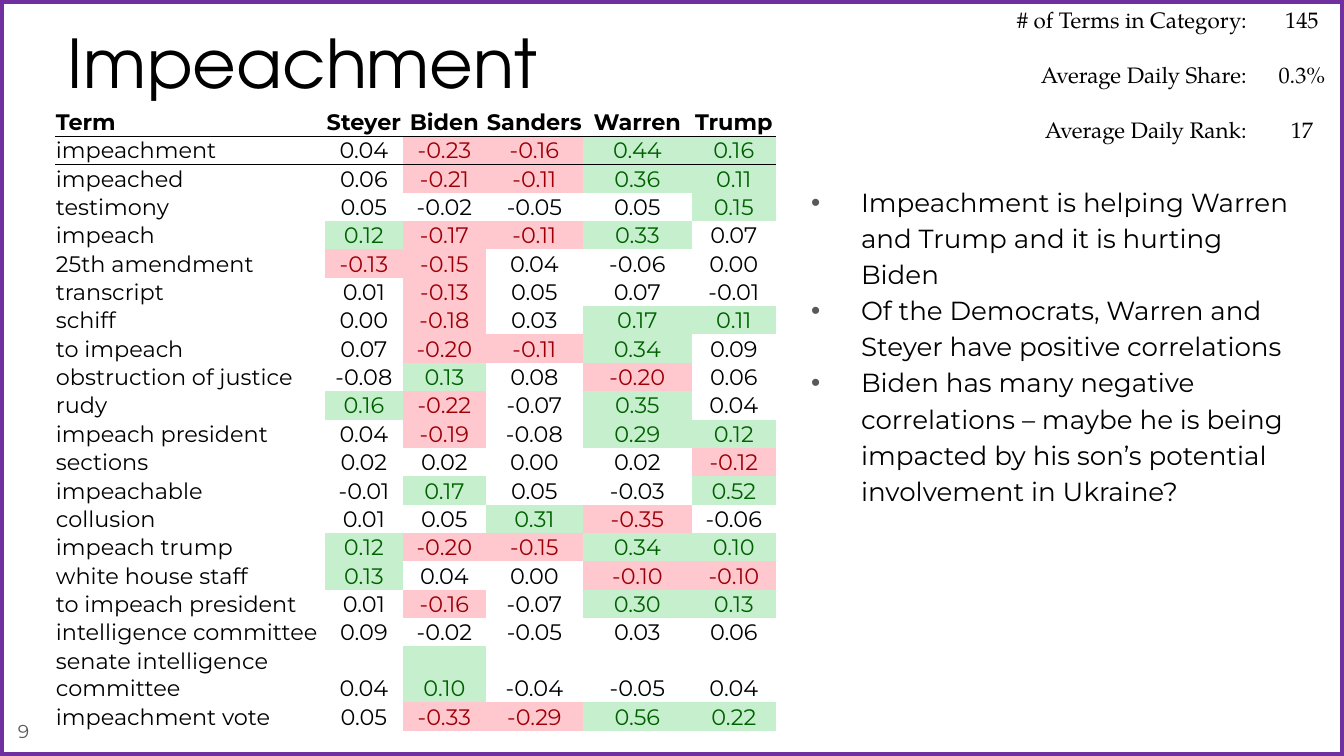
from lxml.etree import SubElement
from pptx import Presentation
from pptx.dml.color import RGBColor
from pptx.enum.shapes import MSO_SHAPE as SHAPE
from pptx.enum.text import MSO_ANCHOR as ANCHOR, MSO_AUTO_SIZE as AUTO, PP_ALIGN as ALIGN
from pptx.oxml import parse_xml
from pptx.oxml.ns import nsdecls, qn
from pptx.util import Emu, Pt

rgb = RGBColor.from_string


def px(n):
    return Emu(round(n * 914400 / 134.4))


def write(p, text, size=12, font="Montserrat", color="000000", bold=False, align=ALIGN.LEFT):
    p.alignment = align
    r = p.add_run()
    r.text = text
    r.font.size = Pt(size)
    r.font.name = font
    r.font.bold = bold
    r.font.color.rgb = rgb(color)


NO_STYLE = "{2D5ABB26-0587-4C30-8999-92F81FD0307C}"
BORDER = '<a:{} %s w="6350"><a:solidFill><a:srgbClr val="000000"/></a:solidFill></a:{}>' % nsdecls("a")

bullets = [
    "Impeachment is helping Warren and Trump and it is hurting Biden",
    "Of the Democrats, Warren and Steyer have positive correlations",
    "Biden has many negative correlations – maybe he is being impacted by his son’s potential involvement in Ukraine?",
]
summary = [
    ("# of Terms in Category:", "145"),
    ("Average Daily Share:", "0.3%"),
    ("Average Daily Rank:", "17"),
]
correlations = [
    ("Term", "Steyer", "Biden", "Sanders", "Warren", "Trump"),
    ("impeachment", "0.04", "-0.23", "-0.16", "0.44", "0.16"),
    ("impeached", "0.06", "-0.21", "-0.11", "0.36", "0.11"),
    ("testimony", "0.05", "-0.02", "-0.05", "0.05", "0.15"),
    ("impeach", "0.12", "-0.17", "-0.11", "0.33", "0.07"),
    ("25th amendment", "-0.13", "-0.15", "0.04", "-0.06", "0.00"),
    ("transcript", "0.01", "-0.13", "0.05", "0.07", "-0.01"),
    ("schiff", "0.00", "-0.18", "0.03", "0.17", "0.11"),
    ("to impeach", "0.07", "-0.20", "-0.11", "0.34", "0.09"),
    ("obstruction of justice", "-0.08", "0.13", "0.08", "-0.20", "0.06"),
    ("rudy", "0.16", "-0.22", "-0.07", "0.35", "0.04"),
    ("impeach president", "0.04", "-0.19", "-0.08", "0.29", "0.12"),
    ("sections", "0.02", "0.02", "0.00", "0.02", "-0.12"),
    ("impeachable", "-0.01", "0.17", "0.05", "-0.03", "0.52"),
    ("collusion", "0.01", "0.05", "0.31", "-0.35", "-0.06"),
    ("impeach trump", "0.12", "-0.20", "-0.15", "0.34", "0.10"),
    ("white house staff", "0.13", "0.04", "0.00", "-0.10", "-0.10"),
    ("to impeach president", "0.01", "-0.16", "-0.07", "0.30", "0.13"),
    ("intelligence committee", "0.09", "-0.02", "-0.05", "0.03", "0.06"),
    ("senate intelligence committee", "0.04", "0.10", "-0.04", "-0.05", "0.04"),
    ("impeachment vote", "0.05", "-0.33", "-0.29", "0.56", "0.22"),
]

prs = Presentation()
prs.slide_width, prs.slide_height = px(1344), px(756)
s = prs.slides.add_slide(prs.slide_layouts[1])
title, body = s.shapes.title, s.placeholders[1]

frame = s.shapes.add_shape(SHAPE.RECTANGLE, 0, 0, px(1344), px(756))
frame.shadow.inherit = False
frame.fill.background()
frame.line.color.rgb = rgb("7030A0")
frame.line.width = Pt(4.5)
title.element.addprevious(frame.element)

number = s.shapes.add_textbox(px(5), px(714), px(54), px(35))
for sp, box, anchor in [
    (title, (55, 8, 1226, 85), ANCHOR.TOP),
    (body, (781, 169, 531, 195), ANCHOR.TOP),
    (number, (5, 714, 54, 35), ANCHOR.MIDDLE),
]:
    sp.left, sp.top, sp.width, sp.height = map(px, box)
    tf = sp.text_frame
    tf.word_wrap = True
    tf.auto_size = AUTO.NONE
    tf.vertical_anchor = anchor
    tf.margin_left = tf.margin_right = tf.margin_top = tf.margin_bottom = px(13)

write(title.text_frame.paragraphs[0], "Impeachment", size=36, font="TeX Gyre Adventor")
write(number.text_frame.paragraphs[0], "9", size=10, color="595959")

tf = body.text_frame
for i, text in enumerate(bullets):
    p = tf.add_paragraph() if i else tf.paragraphs[0]
    write(p, text, size=14)
    p.line_spacing = 1.15
    p.space_before = Pt(0)
    pPr = p._p.get_or_add_pPr()
    pPr.set("marL", str(px(67)))
    pPr.set("indent", str(px(-50)))
    SubElement(SubElement(pPr, qn("a:buClr")), qn("a:srgbClr")).set("val", "595959")
    SubElement(pPr, qn("a:buChar")).set("char", "•")

tables = []
for data, x, y, widths, heights, margins, anchor, font, first_align in [
    (summary, 993, 5, [267, 84], [55] * 3, (13, 7, 13, 7),
     ANCHOR.TOP, "TeX Gyre Pagella", ALIGN.RIGHT),
    (correlations, 55, 85, [270, 78, 83, 97, 109, 84], [51] + [28] * 18 + [56, 28], (1, 1, 1, 0),
     ANCHOR.BOTTOM, "Montserrat", ALIGN.LEFT),
]:
    gf = s.shapes.add_table(len(data), len(widths), px(x), px(y), px(sum(widths)), px(sum(heights)))
    tbl = gf.table
    tbl.first_row = tbl.horz_banding = False
    gf.element.find(".//" + qn("a:tableStyleId")).text = NO_STYLE
    for col, w in zip(tbl.columns, widths):
        col.width = px(w)
    for i, (row, h, values) in enumerate(zip(tbl.rows, heights, data)):
        row.height = px(h)
        for j, (cell, text) in enumerate(zip(row.cells, values)):
            cell.margin_left, cell.margin_top, cell.margin_right, cell.margin_bottom = map(px, margins)
            cell.vertical_anchor = anchor
            cell.fill.background()
            write(cell.text_frame.paragraphs[0], text, font=font,
                  bold=data is correlations and i == 0,
                  align=ALIGN.CENTER if j else first_align)
    tables.append(tbl)

for i, row in enumerate(list(tables[1].rows)):
    for j, cell in enumerate(row.cells):
        if i < 2:
            side = "lnT" if i else "lnB"
            cell._tc.get_or_add_tcPr().insert(0, parse_xml(BORDER.format(side, side)))
        if i and j and abs(float(cell.text)) >= 0.1:
            fill, ink = ("C6EFCE", "006100") if float(cell.text) > 0 else ("FFC7CE", "9C0006")
            cell.fill.solid()
            cell.fill.fore_color.rgb = rgb(fill)
            cell.text_frame.paragraphs[0].runs[0].font.color.rgb = rgb(ink)

prs.save("out.pptx")
